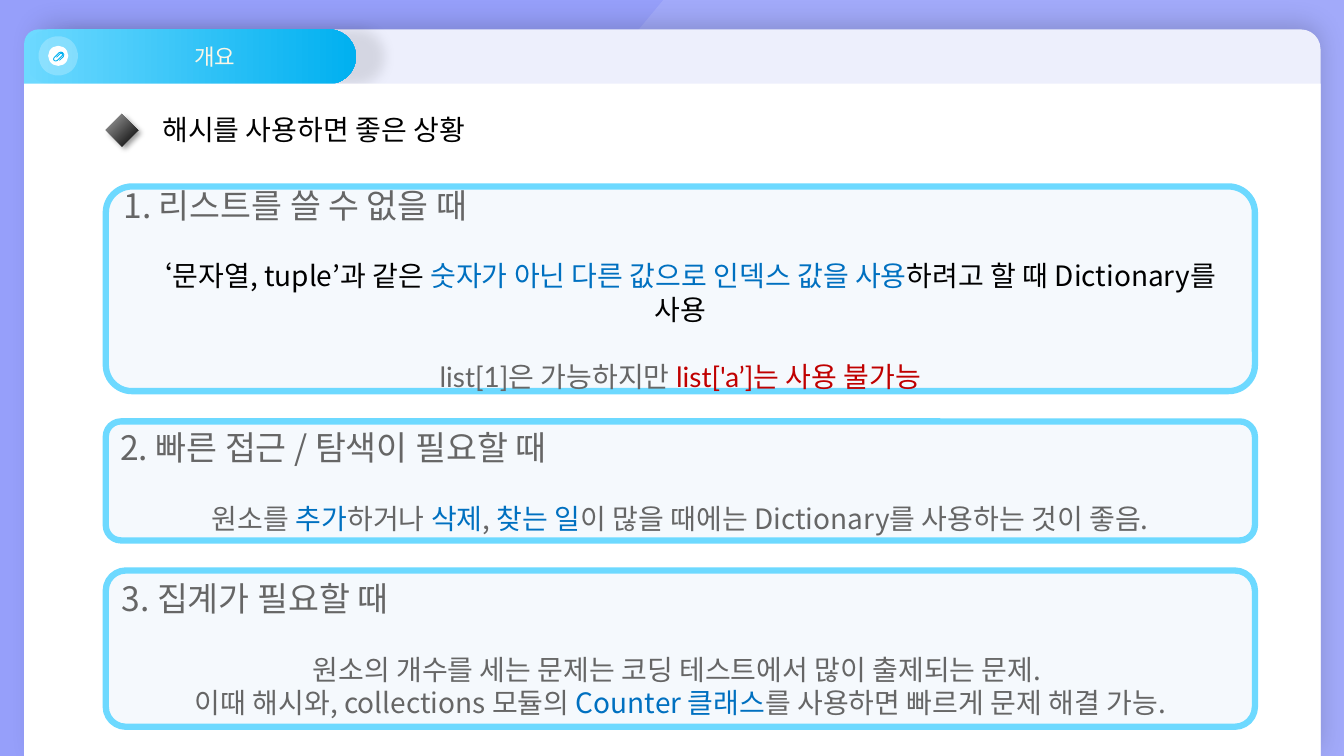
import dataclasses
import typing

import lxml.etree
import pptx
import pptx.dml.color
import pptx.enum.shapes
import pptx.enum.text
import pptx.oxml.ns
import pptx.util

Pt = pptx.util.Pt
qn = pptx.oxml.ns.qn
MSO = pptx.enum.shapes.MSO_SHAPE
ALIGN = pptx.enum.text.PP_ALIGN
ANCHOR = pptx.enum.text.MSO_ANCHOR


@dataclasses.dataclass(frozen=True)
class Theme:
    backdrop: str = "969FFA"
    header: str = "EDEFFC"
    sky: str = "6DD9FF"
    azure: str = "00B0F0"
    white: str = "FFFFFF"
    black: str = "000000"
    silver: str = "A6A6A6"
    cream: str = "F9F6E7"
    card: str = "F5F9FD"
    grey: str = "666666"
    blue: str = "0070C0"
    red: str = "C00000"
    font: str = "Noto Sans CJK KR"
    code_font: str = "Lato"
    tab_size: float = 16
    body_size: float = 20
    heading_size: float = 24
    leading: float = 1.2


T = Theme()


class Shadow(typing.NamedTuple):
    alpha: int
    blur: float
    dist: float
    angle: int


class Span(typing.NamedTuple):
    text: str
    color: str = T.grey
    font: str = T.font


class Card(typing.NamedTuple):
    top: float
    height: float
    heading: str
    lines: list[list[Span]]
    gaps: list[float]


GAP = T.body_size * T.leading
CARDS = [
    Card(133.2, 146.2, "1. 리스트를 쓸 수 없을 때", [
        [Span("‘문자열, tuple’과 같은 ", T.black),
         Span("숫자가 아닌 다른 값으로 인덱스 값을 사용", T.blue),
         Span("하려고 할 때 Dictionary를 사용", T.black)],
        [Span("list[1]은 가능하지만 ", T.grey, T.code_font),
         Span("list['a’]는 사용 불가능", T.red, T.code_font)],
    ], [GAP, GAP]),
    Card(301, 85, "2. 빠른 접근 / 탐색이 필요할 때", [
        [Span("원소를 "), Span("추가", T.blue), Span("하거나 "),
         Span("삭제", T.blue), Span(", "), Span("찾는 일", T.blue),
         Span("이 많을 때에는 Dictionary를 사용하는 것이 좋음.")],
    ], [GAP]),
    Card(407.5, 111.6, "3. 집계가 필요할 때", [
        [Span("원소의 개수를 세는 문제는 코딩 테스트에서 많이 출제되는 문제. ")],
        [Span("이때 해시와, collections 모듈의 "), Span("Counter 클래스", T.blue),
         Span("를 사용하면 빠르게 문제 해결 가능.")],
    ], [GAP, 0]),
]
CLIP = [(42.5, 43.2), (45.3, 40.4), (45.6, 38.9), (44.7, 37.6), (43.4, 37.2),
        (42.3, 37.6), (38.6, 41.3), (38.2, 42.4), (38.8, 43.4), (40, 43.6),
        (41, 43.2), (44.6, 39.6), (44.7, 38.9), (44, 38.2), (43.2, 38.2),
        (40.4, 41)]


def rgb(color: str) -> pptx.dml.color.RGBColor:
    return pptx.dml.color.RGBColor.from_string(color)


def set_alpha(element, percent: int) -> None:
    for c in element.iter(qn("a:srgbClr")):
        lxml.etree.SubElement(c, qn("a:alpha"), val=str(percent * 1000))


def add_shadow(sp, shadow: Shadow) -> None:
    effects = sp.element.spPr.find(qn("a:effectLst"))
    outer = lxml.etree.SubElement(
        effects, qn("a:outerShdw"), blurRad=str(Pt(shadow.blur)),
        dist=str(Pt(shadow.dist)), dir=str(shadow.angle * 60000),
        algn="ctr", rotWithShape="0")
    lxml.etree.SubElement(outer, qn("a:srgbClr"), val=T.black)
    set_alpha(outer, shadow.alpha)


def paint(sp, fill: str, line: str = "", width: float = 0) -> None:
    sp.shadow.inherit = False
    sp.fill.solid()
    sp.fill.fore_color.rgb = rgb(fill)
    if line:
        sp.line.color.rgb = rgb(line)
        sp.line.width = Pt(width)
    else:
        sp.line.fill.background()


def paint_gradient(sp, colors: tuple[str, str], angle: float) -> None:
    sp.fill.gradient()
    sp.fill.gradient_angle = angle
    for stop, color in zip(sp.fill.gradient_stops, colors):
        stop.color.rgb = rgb(color)


def add_shape(s, kind, box: tuple[float, ...], fill: str,
              adj: tuple[float, ...] = (), line: str = "", width: float = 0):
    sp = s.shapes.add_shape(kind, *map(Pt, box))
    for i, value in enumerate(adj):
        sp.adjustments[i] = value
    paint(sp, fill, line, width)
    return sp


def add_outline(s, points: list[tuple[float, float]], close: bool):
    pts = [(Pt(x), Pt(y)) for x, y in points]
    builder = s.shapes.build_freeform(*pts[0])
    builder.add_line_segments(pts[1:], close=close)
    return builder.convert_to_shape()


def format_run(r, size: float, color: str, font: str = T.font) -> None:
    r.font.size = Pt(size)
    r.font.color.rgb = rgb(color)
    r.font.name = font


def format_line(p, align, size: float, before: float = 0) -> None:
    p.alignment = align
    p.line_spacing = Pt(size * T.leading)
    p.space_before = Pt(before)


def set_east_asian(sp) -> None:
    for r_pr in sp.element.iter(qn("a:rPr")):
        lxml.etree.SubElement(r_pr, qn("a:ea"), typeface=T.font)


def label(sp, text: str, align, size: float, color: str) -> None:
    tf = sp.text_frame
    tf.text = text
    tf.word_wrap = True
    tf.vertical_anchor = ANCHOR.MIDDLE
    format_line(tf.paragraphs[0], align, size)
    format_run(tf.paragraphs[0].runs[0], size, color)


def draw_frame(s) -> None:
    s.background.fill.solid()
    s.background.fill.fore_color.rgb = rgb(T.backdrop)
    sheen = add_outline(
        s, [(473.8, 0), (26, 540), (960, 540), (960, 0)], True)
    paint(sheen, T.white)
    set_alpha(sheen.element.spPr, 12)
    header = add_shape(s, MSO.ROUND_2_SAME_RECTANGLE, (26, 21, 917.3, 519),
                       T.header, (0.027, 0))
    add_shadow(header, Shadow(17, 18, 3, 270))
    corner = add_shape(s, MSO.ROUND_1_RECTANGLE,
                       (17.3, 21, 58.3, 103.7), T.sky, (0.174,))
    corner.element.spPr.get_or_add_xfrm().set("flipH", "1")
    tab = add_shape(s, MSO.ROUNDED_RECTANGLE, (17.3, 21, 236.9, 38.9),
                    T.sky, (0.5,))
    paint_gradient(tab, (T.sky, T.azure), 0)
    add_shadow(tab, Shadow(10, 9, 20, 0))
    label(tab, "개요", ALIGN.CENTER, T.tab_size, T.cream)
    tab.text_frame.margin_left = Pt(42.5)
    set_east_asian(tab)
    badge = add_shape(s, MSO.OVAL, (34.4, 32.7, 14.4, 14.4), T.white,
                      (), T.white, 14)
    set_alpha(badge.element.spPr.find(qn("a:ln")), 23)
    clip = add_outline(s, CLIP, False)
    paint(clip, T.white, T.azure, 0.6)
    clip.fill.background()
    add_shape(s, MSO.RECTANGLE, (17.3, 59.8, 926, 480.2), T.white)


def draw_title(s) -> None:
    title = s.shapes.title
    title.element.getparent().append(title.element)
    title.left, title.top, title.width, title.height = map(
        Pt, (108.7, 76.3, 689, 31.7))
    label(title, "해시를 사용하면 좋은 상황", ALIGN.LEFT, T.body_size, T.black)
    title.text_frame.auto_size = pptx.enum.text.MSO_AUTO_SIZE.NONE
    set_east_asian(title)
    marker = add_shape(s, MSO.DIAMOND, (75.6, 81.4, 23, 23), T.black)
    paint_gradient(marker, (T.silver, T.black), 315)
    add_shadow(marker, Shadow(40, 4, 3, 45))


def draw_card(s, card: Card) -> None:
    sp = add_shape(s, MSO.ROUNDED_RECTANGLE,
                   (75.6, card.top, 820.8, card.height), T.card,
                   (0.128,), T.sky, 4.5)
    label(sp, card.heading, ALIGN.JUSTIFY, T.heading_size, T.grey)
    for spans, gap in zip(card.lines, card.gaps):
        p = sp.text_frame.add_paragraph()
        format_line(p, ALIGN.CENTER, T.body_size, gap)
        for span in spans:
            r = p.add_run()
            r.text = span.text
            format_run(r, T.body_size, span.color, span.font)
    set_east_asian(sp)


def main() -> None:
    prs = pptx.Presentation()
    prs.slide_width, prs.slide_height = Pt(960), Pt(540)
    s = prs.slides.add_slide(prs.slide_layouts[5])
    draw_frame(s)
    draw_title(s)
    for card in CARDS:
        draw_card(s, card)
    prs.save("out.pptx")


if __name__ == "__main__":
    main()
